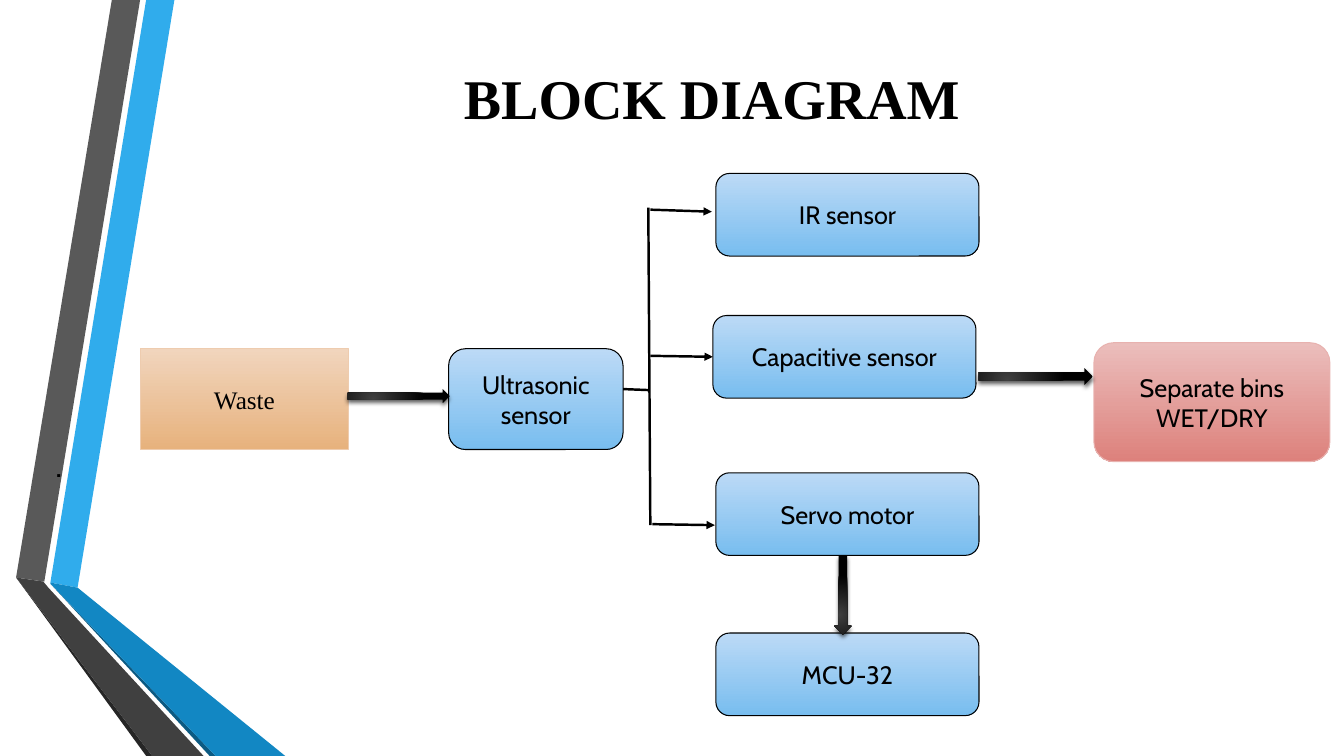
"""Build the block diagram slide of a waste sorting system."""
from typing import NamedTuple

from lxml.etree import SubElement
from pptx import Presentation
from pptx.dml.color import RGBColor
from pptx.enum.shapes import MSO_CONNECTOR, MSO_SHAPE
from pptx.enum.text import MSO_ANCHOR, PP_ALIGN
from pptx.oxml.ns import qn
from pptx.shapes.autoshape import Shape
from pptx.shapes.connector import Connector
from pptx.slide import Slide
from pptx.text.text import TextFrame
from pptx.util import Pt

EMU_PER_PX = 9144
SANS = "Cabin"
SERIF = "Times New Roman"
BLACK = RGBColor(0x00, 0x00, 0x00)
CHARCOAL = RGBColor(0x40, 0x40, 0x40)
GREY = RGBColor(0x59, 0x59, 0x59)
DARK_GREY = RGBColor(0x26, 0x26, 0x26)
SKY = RGBColor(0x30, 0xAC, 0xEC)
BLUE = RGBColor(0x12, 0x87, 0xC3)
NAVY = RGBColor(0x0C, 0x5A, 0x82)


class Palette(NamedTuple):
    """Gradient ends and outline of a block."""
    top: RGBColor
    bottom: RGBColor
    outline: RGBColor


DEVICE = Palette(RGBColor(0xBC, 0xDA, 0xF6), RGBColor(0x78, 0xBD, 0xEF), BLACK)
BIN = Palette(RGBColor(0xEB, 0xBE, 0xBC), RGBColor(0xDD, 0x81, 0x7C), RGBColor(0xE8, 0xB2, 0xAF))
INPUT = Palette(RGBColor(0xF1, 0xD5, 0xBD), RGBColor(0xE7, 0xB2, 0x7D), RGBColor(0xEE, 0xCC, 0xAF))


class Area(NamedTuple):
    """Left, top, width and height in px."""
    left: int
    top: int
    width: int
    height: int


class Ribbon(NamedTuple):
    """A filled outline of the side decoration."""
    color: RGBColor
    points: list[tuple[int, int]]


class Block(NamedTuple):
    """A labelled box of the diagram."""
    lines: tuple[str, ...]
    area: Area
    palette: Palette = DEVICE
    preset: MSO_SHAPE = MSO_SHAPE.ROUNDED_RECTANGLE
    font: str = SANS


class BlockArrow(NamedTuple):
    """A thick arrow between blocks."""
    area: Area
    rotation: int = 0


class Wire(NamedTuple):
    """A thin line of the sensor bus."""
    start: tuple[int, int]
    end: tuple[int, int]
    arrow: bool = False
    target: str = ""


RIBBONS = [
    Ribbon(SKY, [(50, 578), (77, 583), (173, 0), (145, 0)]),
    Ribbon(GREY, [(139, 0), (111, 0), (16, 573), (44, 577)]),
    Ribbon(DARK_GREY, [(16, 573), (145, 750), (151, 750)]),
    Ribbon(NAVY, [(50, 579), (208, 750), (214, 750)]),
    Ribbon(BLUE, [(50, 579), (214, 750), (283, 750), (77, 583), (50, 578)]),
    Ribbon(CHARCOAL, [(202, 750), (48, 583), (43, 577), (16, 573), (151, 750)]),
]
BLOCKS = [
    Block(("Servo motor",), Area(710, 469, 261, 82)),
    Block(("Capacitive sensor",), Area(707, 313, 261, 82)),
    Block(("IR sensor",), Area(710, 172, 261, 82)),
    Block(("Separate bins", "WET/DRY"), Area(1085, 340, 234, 118), BIN),
    Block(("MCU-32",), Area(710, 628, 261, 82)),
    Block(("Ultrasonic", "sensor"), Area(445, 346, 173, 100)),
    Block(("Waste",), Area(139, 346, 207, 100), INPUT, MSO_SHAPE.RECTANGLE, SERIF),
]
BLOCK_ARROWS = [
    BlockArrow(Area(345, 386, 101, 14)),
    BlockArrow(Area(797, 582, 78, 17), 90),
    BlockArrow(Area(971, 365, 113, 17)),
]
WIRES = [
    Wire((618, 386), (643, 387)),
    Wire((643, 206), (645, 521)),
    Wire((645, 208), (706, 210), True),
    Wire((645, 353), (706, 355), True, "Capacitive sensor"),
    Wire((647, 520), (709, 521), True),
]


def px(*lengths: int) -> list[int]:
    """Turn px into EMU."""
    return [length * EMU_PER_PX for length in lengths]


def write(frame: TextFrame, lines: tuple[str, ...], font: str, size: int,
          align: PP_ALIGN = PP_ALIGN.CENTER, bold: bool = False) -> None:
    """Fill a frame with one paragraph per line."""
    frame.word_wrap = True
    frame.vertical_anchor = MSO_ANCHOR.MIDDLE
    frame.text = "\n".join(lines)
    for para in frame.paragraphs:
        para.alignment = align
        para.font.name = font
        para.font.size = Pt(size)
        para.font.bold = bold
        para.font.color.rgb = BLACK


def shade(shape: Shape, first: RGBColor, last: RGBColor) -> None:
    """Give a shape a gradient running downwards."""
    shape.fill.gradient()
    shape.fill.gradient_angle = 270
    for stop, color in zip(shape.fill.gradient_stops, (first, last)):
        stop.color.rgb = color


def add_ribbon(page: Slide, ribbon: Ribbon) -> None:
    """Draw one side ribbon."""
    builder = page.shapes.build_freeform(*ribbon.points[0], scale=EMU_PER_PX)
    builder.add_line_segments(ribbon.points[1:], close=True)
    shape = builder.convert_to_shape()
    shape.shadow.inherit = False
    shape.fill.solid()
    shape.fill.fore_color.rgb = ribbon.color
    shape.line.fill.background()


def add_block(page: Slide, block: Block) -> Shape:
    """Draw one labelled block."""
    shape = page.shapes.add_shape(block.preset, *px(*block.area))
    shape.shadow.inherit = False
    shade(shape, block.palette.top, block.palette.bottom)
    shape.line.color.rgb = block.palette.outline
    shape.line.width = Pt(0.75)
    write(shape.text_frame, block.lines, block.font, 18)
    return shape


def add_block_arrow(page: Slide, arrow: BlockArrow) -> None:
    """Draw one thick arrow with a radial gradient and a soft shadow."""
    shape = page.shapes.add_shape(MSO_SHAPE.RIGHT_ARROW, *px(*arrow.area))
    shape.rotation = arrow.rotation
    shape.line.fill.background()
    shape.shadow.inherit = False
    shade(shape, CHARCOAL, BLACK)
    properties = shape.element.spPr
    gradient = properties.find(qn("a:gradFill"))
    gradient.remove(gradient.find(qn("a:lin")))
    radial = SubElement(gradient, qn("a:path"), path="circle")
    SubElement(radial, qn("a:fillToRect"), l="50000", t="100000", r="100000", b="50000")
    shadow = SubElement(properties.find(qn("a:effectLst")), qn("a:outerShdw"),
                        blurRad=str(Pt(3)), dist=str(Pt(2)), dir="5400000", rotWithShape="0")
    color = SubElement(shadow, qn("a:srgbClr"), val=str(BLACK))
    SubElement(color, qn("a:alpha"), val="64000")


def add_wire(page: Slide, wire: Wire) -> Connector:
    """Draw one thin line, with an arrowhead if asked."""
    line = page.shapes.add_connector(MSO_CONNECTOR.STRAIGHT, *px(*wire.start, *wire.end))
    line.line.color.rgb = BLACK
    line.line.width = Pt(1.75)
    if wire.arrow:
        SubElement(line.element.spPr.find(qn("a:ln")), qn("a:tailEnd"), type="triangle")
    SubElement(line.element.spPr, qn("a:effectLst"))
    return line


def main() -> None:
    """Build and save the deck."""
    deck = Presentation()
    deck.slide_width, deck.slide_height = px(1333, 750)
    page = deck.slides.add_slide(deck.slide_layouts[6])
    for ribbon in RIBBONS:
        add_ribbon(page, ribbon)
    title = page.shapes.add_textbox(*px(162, 54, 1088, 84))
    write(title.text_frame, ("BLOCK DIAGRAM",), SERIF, 40, bold=True)
    body = page.shapes.add_textbox(*px(45, 292, 1206, 336))
    write(body.text_frame, (".",), SANS, 24, PP_ALIGN.LEFT)
    shapes = {" ".join(block.lines): add_block(page, block) for block in BLOCKS}
    for arrow in BLOCK_ARROWS:
        add_block_arrow(page, arrow)
    for wire in WIRES:
        line = add_wire(page, wire)
        if wire.target:
            line.end_connect(shapes[wire.target], 1)
    deck.save("out.pptx")


if __name__ == "__main__":
    main()
